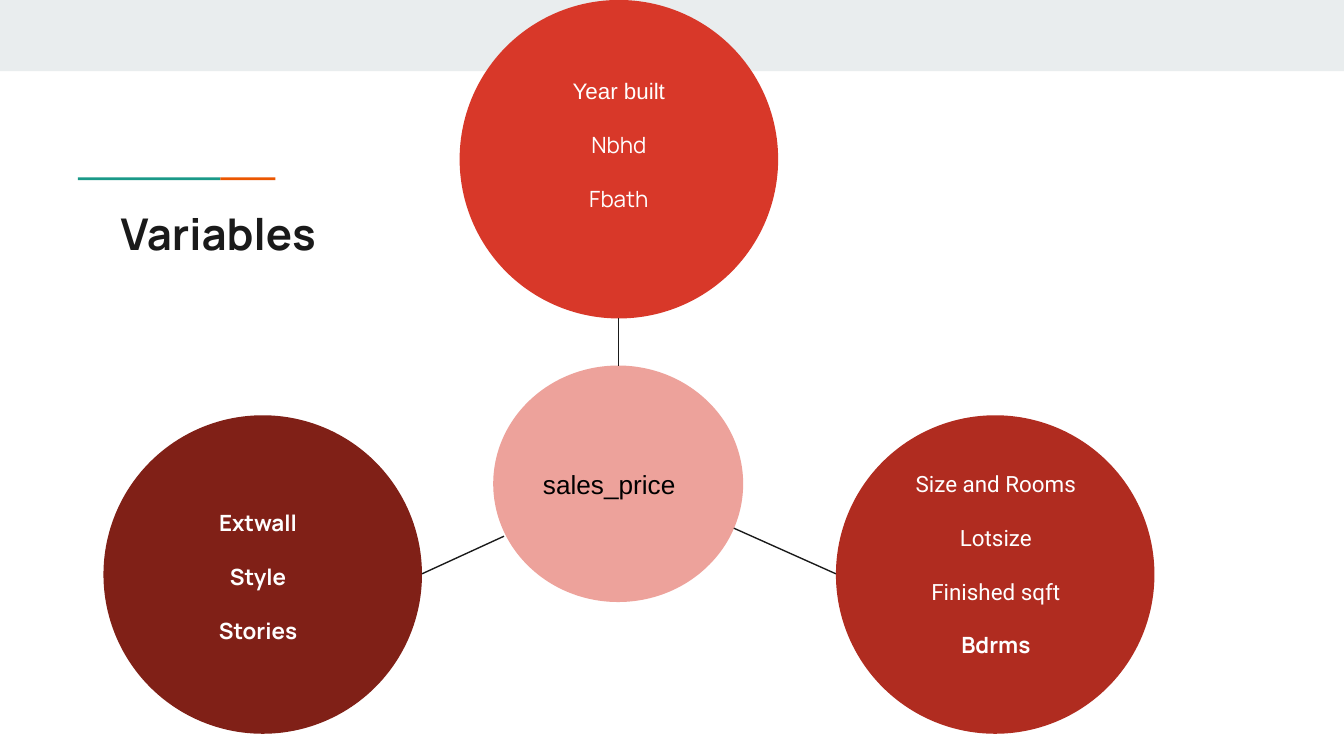
from lxml import etree
from pptx import Presentation
from pptx.enum import shapes, text
from pptx.oxml import ns
from pptx.util import Inches, Pt
from pptx.dml.color import RGBColor

C = {"band": "E9EDEE", "teal": "1A9988", "orange": "EB5600", "ink": "1A1A1A",
     "white": "FFFFFF", "black": "000000", "top": "D83829", "right": "B02C20",
     "left": "802017", "center": "EDA29B"}
RECT, OVAL = shapes.MSO_SHAPE.RECTANGLE, shapes.MSO_SHAPE.OVAL
WIDTH, HEIGHT = 10, 5.625    # 16:9 slide
CIRCLE = 2.37                # diameter of an outer circle
PITCH = 28.8                 # points from one variable name to the next


def add_shape(s, kind, box, color):
    sp = s.shapes.add_shape(kind, *map(Inches, box))
    sp.shadow.inherit = False
    sp.fill.solid()
    sp.fill.fore_color.rgb = RGBColor.from_string(C[color])
    sp.line.fill.background()
    return sp


def write(tf, lines, size, color, align, anchor, pitch=None, inset=0.1):
    """Write (words, font, bold) lines, one paragraph each."""
    fmt = {"word_wrap": True, "vertical_anchor": anchor,
           "margin_left": Inches(0.1), "margin_right": Inches(0.1),
           "margin_top": Inches(inset), "margin_bottom": Inches(inset)}
    for name, value in fmt.items():
        setattr(tf, name, value)
    for i, (words, font, bold) in enumerate(lines):
        p = tf.paragraphs[0] if i == 0 else tf.add_paragraph()
        p.alignment = align
        if pitch:
            p.line_spacing = Pt(pitch)
        r = p.add_run()
        r.text = words
        for name, value in {"name": font, "size": Pt(size), "bold": bold}.items():
            setattr(r.font, name, value)
        r.font.color.rgb = RGBColor.from_string(C[color])


def add_header(s):
    # Band, two-colour rule and title
    add_shape(s, RECT, (0, 0, WIDTH, 0.53), "band")
    add_shape(s, RECT, (0.58, 1.32, 1.06, 0.02), "teal")
    add_shape(s, RECT, (1.64, 1.32, 0.41, 0.02), "orange")
    title = s.shapes.add_textbox(*map(Inches, (0.8, 1.44, 8.41, 0.59)))
    write(title.text_frame, [("Variables", "Manrope", True)], 23.4, "ink",
          text.PP_ALIGN.LEFT, text.MSO_ANCHOR.TOP)


def add_group(s, x, y, color, lines, offset=None):
    """Circle at x, y; its names sit in it, or in a box at the offset."""
    holder, inset = add_shape(s, OVAL, (x, y, CIRCLE, CIRCLE), color), 0.03
    if offset:
        dx, dy = offset
        box = (x + dx, y + dy, 1.64, len(lines) * PITCH / 72)
        holder, inset = s.shapes.add_textbox(*map(Inches, box)), 0
    write(holder.text_frame, lines, 12, "white", text.PP_ALIGN.CENTER,
          text.MSO_ANCHOR.TOP, PITCH, inset)


def add_center(s, box):
    sp = add_shape(s, OVAL, box, "center")
    write(sp.text_frame, [("sales_price", "Arial", False)], 14, "black",
          text.PP_ALIGN.LEFT, text.MSO_ANCHOR.MIDDLE)


def add_link(s, start, end):
    line = s.shapes.add_connector(shapes.MSO_CONNECTOR.STRAIGHT,
                                  *map(Inches, start + end))
    line.line.color.rgb = RGBColor.from_string(C["ink"])
    line.line.width = Pt(0.75)
    etree.SubElement(line._element.spPr, ns.qn("a:effectLst"))


def main():
    prs = Presentation()
    prs.slide_width, prs.slide_height = Inches(WIDTH), Inches(HEIGHT)
    s = prs.slides.add_slide(prs.slide_layouts[6])
    add_header(s)

    # Variable groups around the target
    add_group(s, 3.42, 0, "top",
              [("Year built", "Arial", False), ("Nbhd", "Manrope", False),
               ("Fbath", "Manrope", False)])
    add_group(s, 6.22, 3.09, "right",
              [("Size and Rooms", "Roboto", False), ("Lotsize", "Roboto", False),
               ("Finished sqft", "Roboto", False), ("Bdrms", "Manrope", True)],
              (0.37, 0.21))
    add_group(s, 0.77, 3.09, "left",
              [(name, "Manrope", True) for name in ("Extwall", "Style", "Stories")],
              (0.33, 0.5))
    add_center(s, (3.67, 2.72, 1.86, 1.76))

    # Links from the groups to the target
    for start, end in (((4.6, 2.37), (4.6, 2.72)),
                       ((3.14, 4.27), (3.75, 3.99)),
                       ((6.22, 4.27), (5.46, 3.93))):
        add_link(s, start, end)
    prs.save("out.pptx")


if __name__ == "__main__":
    main()
